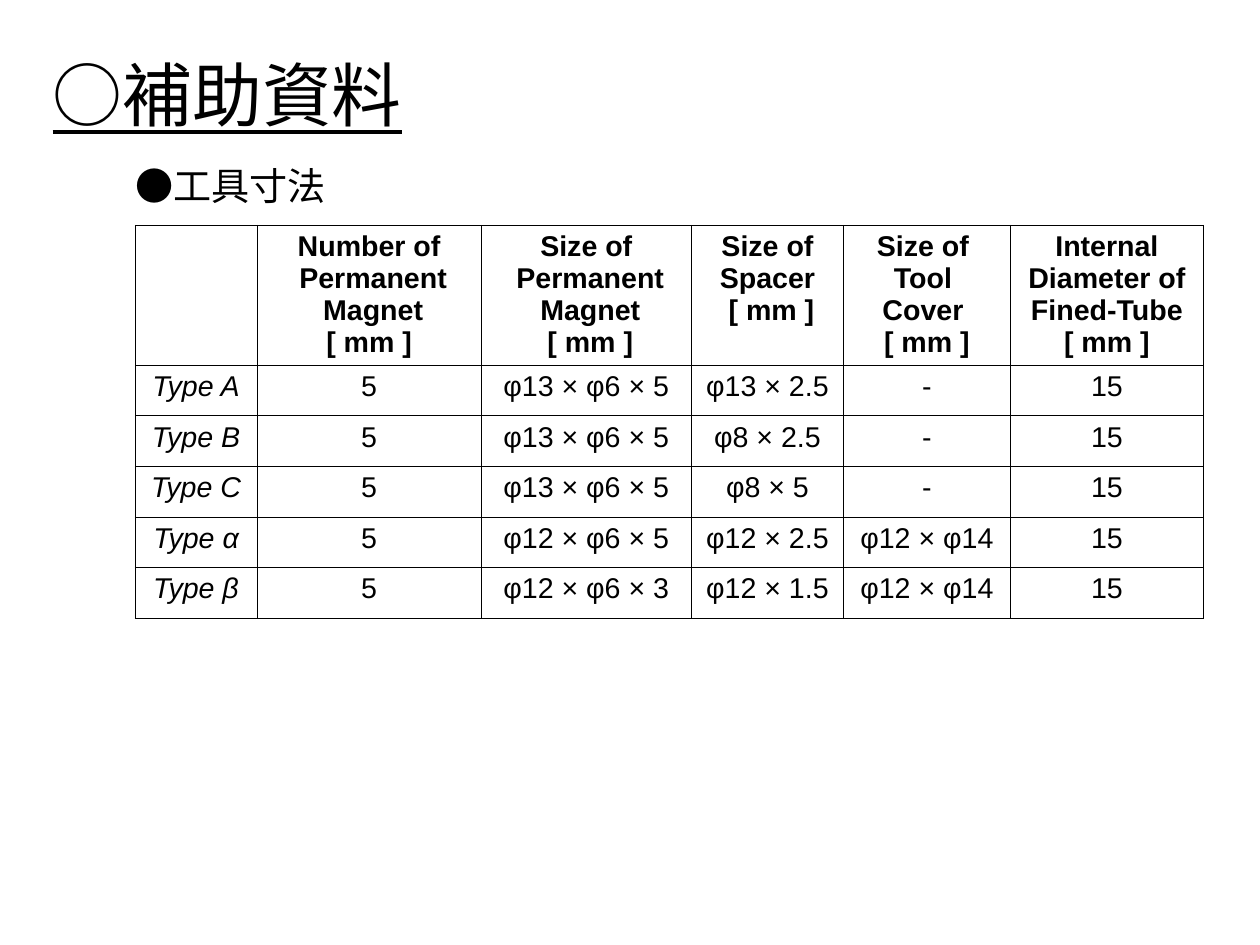
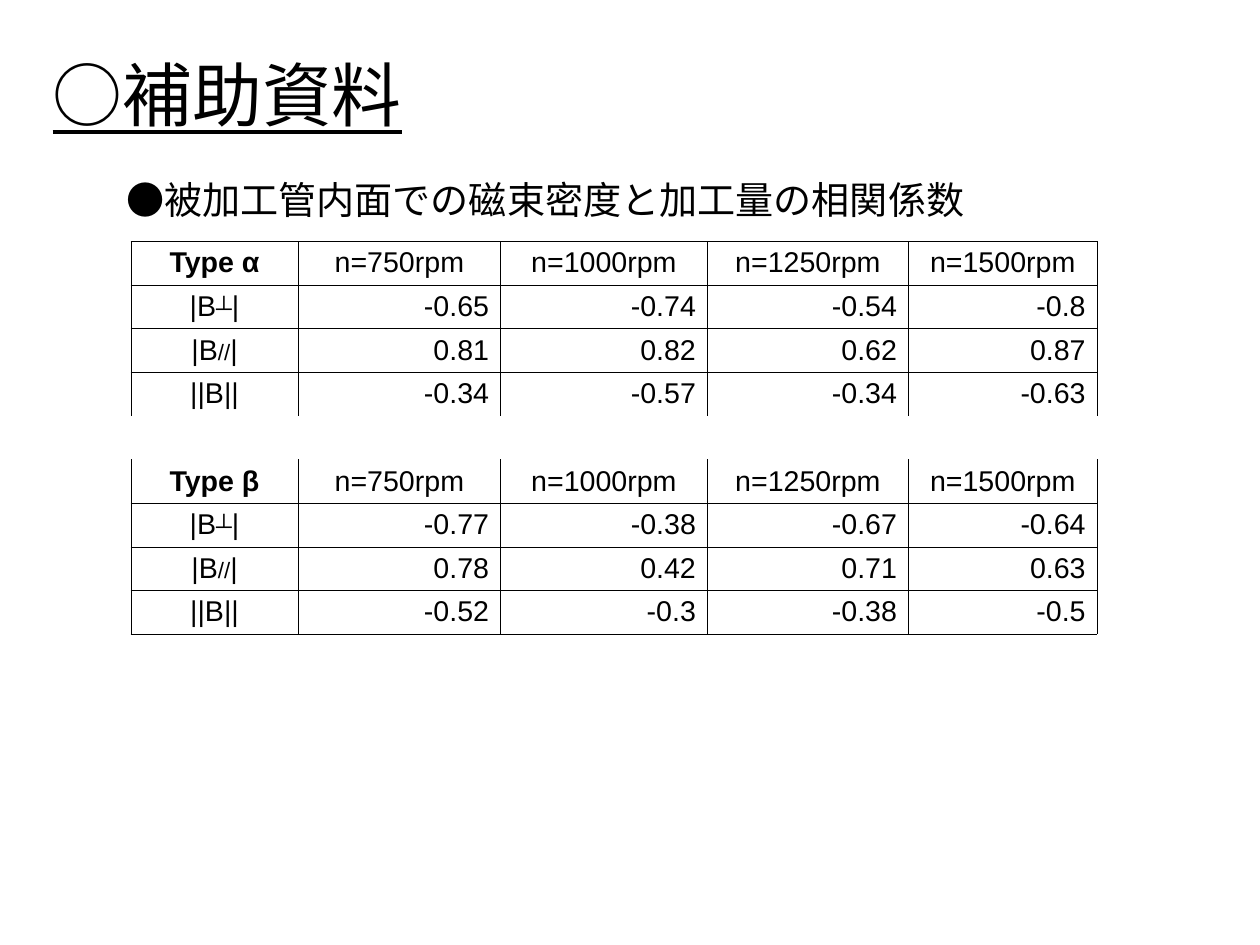
from lxml import etree
from pptx import Presentation
from pptx.dml.color import RGBColor
from pptx.enum.text import MSO_ANCHOR, MSO_AUTO_SIZE, PP_ALIGN
from pptx.oxml.ns import qn
from pptx.util import Pt

LEFT, CENTER, RIGHT = PP_ALIGN.LEFT, PP_ALIGN.CENTER, PP_ALIGN.RIGHT
TOP, MIDDLE = MSO_ANCHOR.TOP, MSO_ANCHOR.MIDDLE
NO_AUTOFIT = MSO_AUTO_SIZE.NONE
FONT = "Arial"
INK = "000000"
ALL_EDGES = "LRTB"

deck = Presentation()
deck.slide_width = Pt(793.7)
deck.slide_height = Pt(595.3)


def add_topic_slide(topic, left, top, width, height):
    slide = deck.slides.add_slide(deck.slide_layouts[1])
    heading, subject = slide.placeholders
    for holder, text, box, size, anchor in (
        (heading, "○補助資料", (33.1, 9.4, 714.2, 99.4), 44, MIDDLE),
        (subject, topic, (left, top, width, height), 24, TOP),
    ):
        holder.left, holder.top, holder.width, holder.height = map(Pt, box)
        frame = holder.text_frame
        frame.text = text
        frame.auto_size = NO_AUTOFIT
        frame.vertical_anchor = anchor
        frame.margin_left = frame.margin_right = 0
        frame.margin_top = frame.margin_bottom = 0
        line = frame.paragraphs[0]
        line.alignment = LEFT
        line.space_before = Pt(0)
        line.font.name = FONT
        line.font.size = Pt(size)
        line.font.color.rgb = RGBColor.from_string(INK)
    heading.text_frame.paragraphs[0].font.underline = True
    subject_line = subject.text_frame.paragraphs[0]
    subject_line.space_after = Pt(14.2)
    properties = subject_line._p.get_or_add_pPr()
    properties.set("marL", str(Pt(34)))
    properties.set("indent", "0")
    no_bullet = etree.Element(qn("a:buNone"))
    properties.find(qn("a:spcAft")).addnext(no_bullet)
    return slide


def write_cell(cell, content, align=CENTER, bold=False, italic=False, edges=ALL_EDGES):
    if isinstance(content, tuple):
        for part in content:
            cell.text_frame.paragraphs[0].add_run().text = part
        cell.text_frame.paragraphs[0].runs[1].font.size = Pt(14)
    else:
        cell.text = content
    for line in cell.text_frame.paragraphs:
        line.alignment = align
        line.font.name = FONT
        line.font.size = Pt(18)
        line.font.bold = bold
        line.font.italic = italic
        line.font.color.rgb = RGBColor.from_string(INK)
    cell.fill.background()
    properties = cell._tc.get_or_add_tcPr()
    for place, side in enumerate(ALL_EDGES):
        border = etree.Element(qn("a:ln" + side), w=str(Pt(0.11)))
        if side in edges:
            fill = etree.SubElement(border, qn("a:solidFill"))
            etree.SubElement(fill, qn("a:srgbClr"), val=INK)
        else:
            etree.SubElement(border, qn("a:noFill"))
        properties.insert(place, border)


tool_rows = [
    [
        "",
        "Number of\n Permanent\n Magnet\n [ mm ] ",
        "Size of\n Permanent\n Magnet\n [ mm ]",
        "Size of Spacer\n [ mm ]",
        "Size of \nTool \nCover \n[ mm ]",
        "Internal\nDiameter of\n Fined-Tube \n[ mm ]",
    ],
    ["Type A", "5", "φ13 × φ6 × 5", "φ13 × 2.5", "-", "15"],
    ["Type B", "5", "φ13 × φ6 × 5", "φ8 × 2.5", "-", "15"],
    ["Type C", "5", "φ13 × φ6 × 5", "φ8 × 5", "-", "15"],
    ["Type α", "5", "φ12 × φ6 × 5", "φ12 × 2.5", "φ12 × φ14", "15"],
    ["Type β", "5", "φ12 × φ6 × 3", "φ12 × 1.5", "φ12 × φ14", "15"],
]
speeds = [f"n={speed}rpm" for speed in (750, 1000, 1250, 1500)]
components = [("|B", "┴", "|"), ("|B", "//", "|"), "||B||"]
correlations = {
    "Type α": [
        ["-0.65", "-0.74", "-0.54", "-0.8"],
        ["0.81", "0.82", "0.62", "0.87"],
        ["-0.34", "-0.57", "-0.34", "-0.63"],
    ],
    "Type β": [
        ["-0.77", "-0.38", "-0.67", "-0.64"],
        ["0.78", "0.42", "0.71", "0.63"],
        ["-0.52", "-0.3", "-0.38", "-0.5"],
    ],
}
correlation_rows = []
for tool, values in correlations.items():
    if correlation_rows:
        correlation_rows.append([""] * 5)
    correlation_rows.append([tool] + speeds)
    for component, row_values in zip(components, values):
        correlation_rows.append([component] + row_values)
gap_row = 4

tool_slide = add_topic_slide("●工具寸法", 51.1, 102.2, 187.2, 79.2)
correlation_slide = add_topic_slide(
    "●被加工管内面での磁束密度と加工量の相関係数", 45.4, 110.9, 652.3, 73.4
)

grids = []
for slide, rows, left, top, widths, heights in (
    (tool_slide, tool_rows, 85, 141.8,
     [77, 141.1, 132.5, 95.8, 105.1, 121.7], [88] + [31.9] * 5),
    (correlation_slide, correlation_rows, 82.4, 151.9,
     [105.5, 127.4, 130.3, 126.7, 118.8], [27.5] * 9),
):
    grid = slide.shapes.add_table(
        len(rows), len(widths), Pt(left), Pt(top), Pt(sum(widths)), Pt(sum(heights))
    ).table
    grid.first_row = False
    grid.horz_banding = False
    for column, width in zip(grid.columns, widths):
        column.width = Pt(width)
    for row, height in zip(grid.rows, heights):
        row.height = Pt(height)
    grids.append(grid)
tool_grid, correlation_grid = grids

for r, row in enumerate(tool_rows):
    for c, content in enumerate(row):
        write_cell(tool_grid.cell(r, c), content, bold=r == 0, italic=r > 0 and c == 0)

gap_edges = {gap_row - 1: "LRT", gap_row: "", gap_row + 1: "LRB"}
for r, row in enumerate(correlation_rows):
    is_header = r in (0, gap_row + 1)
    for c, content in enumerate(row):
        write_cell(
            correlation_grid.cell(r, c),
            content,
            align=CENTER if is_header or c == 0 else RIGHT,
            bold=is_header and c == 0,
            edges=gap_edges.get(r, ALL_EDGES),
        )

deck.save("out.pptx")
